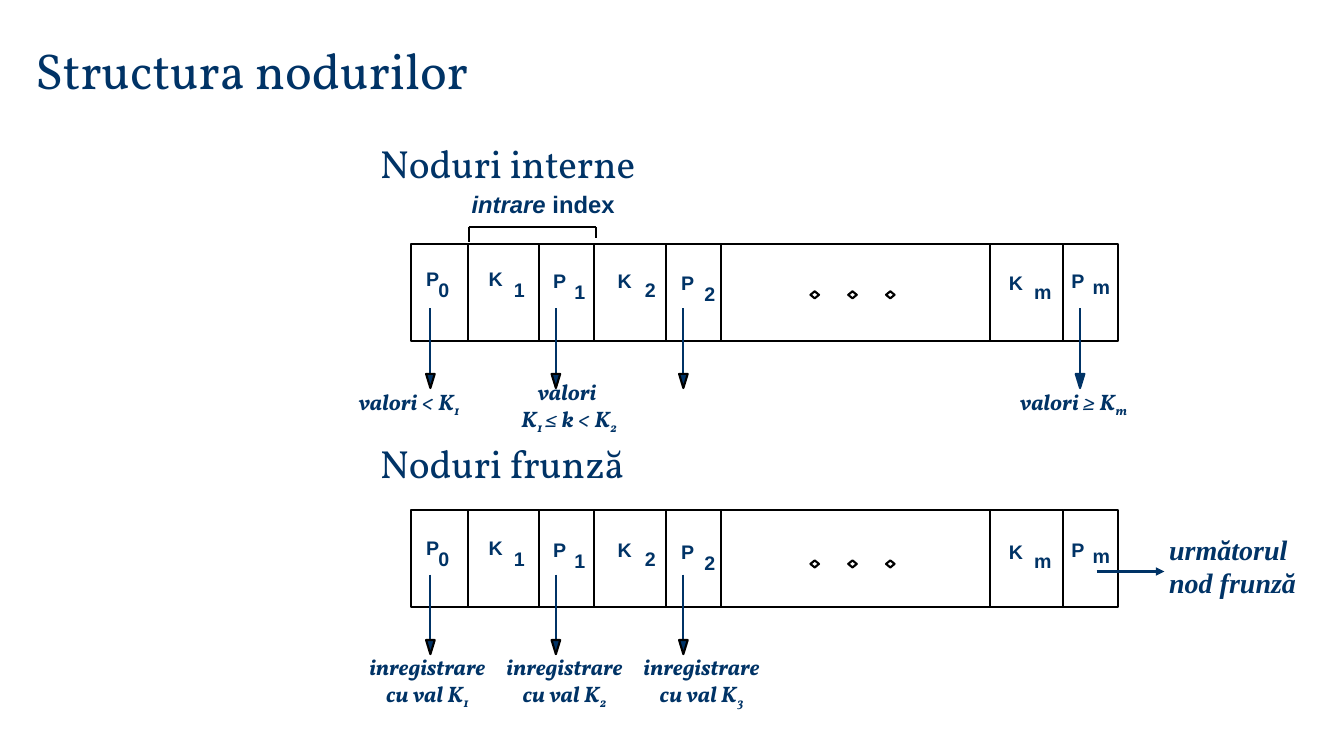
from pptx import Presentation
from pptx.dml.color import RGBColor
from pptx.enum.shapes import MSO_CONNECTOR, MSO_SHAPE
from pptx.enum.text import MSO_ANCHOR, MSO_AUTO_SIZE, PP_ALIGN
from pptx.oxml.ns import qn
from pptx.util import Inches, Pt
from lxml.etree import SubElement

# Lengths are columns and rows of a grid with ten cells to the inch.
COLS, ROWS = 133.33, 75
HUES = {"navy": "003366", "black": "000000", "white": "FFFFFF"}
SERIF, SANS, TIMES = "Vollkorn", "Arial", "Times New Roman"

EDGES = [(40.8, 110.9), (46.4, 53.5), (58.9, 66.1), (98.2, 105.5), (66.1, 71.5)]
TALL = 9.6
DOTS = [80.4 + 3.75 * i for i in range(3)]
STEMS = [42.7, 55.15, 67.8]
LAST = 107.15
WIDE = {"P": 3.4, "K": 3.5, "m": 3.8}
MARKS = [
    ("P", 41.3, 1.8), ("0", 42.5, 2.9), ("K", 47.5, 1.8), ("1", 50, 2.9),
    ("P", 53.9, 2), ("1", 56, 3.1), ("K", 60.3, 2), ("2", 63, 2.9),
    ("P", 66.6, 2.2), ("2", 68.9, 3.3), ("K", 99.1, 2.2), ("m", 101.6, 3.1),
    ("P", 105.3, 2), ("m", 107.4, 2.6),
]


def grid(*cells):
    """Turn grid cells into lengths."""
    return [Inches(cell / 10) for cell in cells]


def hue(name):
    """Look up a colour."""
    return RGBColor.from_string(HUES[name])


def trim(shape, line="black", fill=None):
    """Give a shape its outline and fill, and no shadow."""
    shape.shadow.inherit = False
    shape.line.color.rgb = hue(line)
    shape.line.width = Pt(1.5)
    if fill:
        shape.fill.solid()
        shape.fill.fore_color.rgb = hue(fill)
    else:
        shape.fill.background()


def form(slide, kind, box, fill=None):
    """Draw a preset shape."""
    trim(slide.shapes.add_shape(kind, *grid(*box)), fill=fill)


def rule(slide, start, end, tint="black", tip=False):
    """Draw a straight line, with an arrowhead if asked."""
    line = slide.shapes.add_connector(MSO_CONNECTOR.STRAIGHT, *grid(*start, *end))
    line.line.color.rgb = hue(tint)
    line.line.width = Pt(1.5)
    if tip:
        SubElement(line.line._get_or_add_ln(), qn("a:tailEnd"), type="triangle")
    SubElement(line._element.spPr, qn("a:effectLst"))


def arrow(slide, x, top, edge="black"):
    """Draw a pointer that leaves a node downwards."""
    end = top + 7.9
    rule(slide, (x, top), (x, end), "navy")
    pen = slide.shapes.build_freeform(*grid(x + 0.43, end - 1.4), scale=1.0)
    pen.add_line_segments([grid(x, end), grid(x - 0.43, end - 1.4)], close=True)
    trim(pen.convert_to_shape(), edge, "navy")


def note(slide, box, parts, size, font=SERIF, bold=True, slant=True,
         wrap=False, mid=False):
    """Write a text; parts that begin with _ are set as subscripts."""
    frame = slide.shapes.add_textbox(*grid(*box)).text_frame
    frame.word_wrap = wrap
    frame.auto_size = MSO_AUTO_SIZE.SHAPE_TO_FIT_TEXT
    para = frame.paragraphs[0]
    para.text = parts[0]
    for part in parts[1:]:
        run = para.add_run()
        run.text = part.lstrip("_")
        if part.startswith("_"):
            run._r.get_or_add_rPr().set("baseline", "-25000")
    if mid:
        para.alignment = PP_ALIGN.CENTER
    for run in para.runs:
        run.font.name, run.font.size = font, Pt(size)
        run.font.bold, run.font.italic = bold, slant
        run.font.color.rgb = hue("navy")
    return frame


def head(slide, box, text, size=28):
    """Write a heading."""
    frame = note(slide, box, [text], size, bold=False, slant=False, wrap=True)
    frame.auto_size = MSO_AUTO_SIZE.NONE
    return frame


def node(slide, top, drop, stems):
    """Draw a node with its cells, dots, pointers and marks."""
    for left, right in EDGES:
        form(slide, MSO_SHAPE.RECTANGLE, (left, top, right - left, TALL), "white")
    for x in DOTS:
        form(slide, MSO_SHAPE.DIAMOND, (x, top + drop + 4.7, 0.85, 0.7))
    for x in stems:
        arrow(slide, x, top + 6.4, "navy" if x == LAST else "black")
    for text, x, y in MARKS:
        box = (x, top + drop + y, WIDE.get(text, 3.1), 3.4)
        note(slide, box, [text], 14, SANS, slant=False)


def main():
    """Build the slide."""
    deck = Presentation()
    deck.slide_width, deck.slide_height = grid(COLS, ROWS)
    slide = deck.slides.add_slide(deck.slide_layouts[6])

    title = head(slide, (2.5, 3.3, 104.8, 7.1), "Structura nodurilor", 36)
    title.vertical_anchor = MSO_ANCHOR.BOTTOM

    node(slide, 24.2, 0, STEMS + [LAST])
    fork = [(46.5, 24), (46.5, 22.5), (59.1, 22.5), (59.1, 23.6)]
    for start, end in zip(fork, fork[1:]):
        rule(slide, start, end)
    label = note(slide, (45.8, 18.3, 16.4, 3.9), ["intrare ", "index"], 17, SANS)
    label.paragraphs[0].runs[1].font.italic = False
    head(slide, (36.7, 13.3, 89.4, 9.4), "Noduri interne")
    note(slide, (34.6, 38, 13, 3.7), ["valori < K", "_1"], 16)
    note(slide, (49.6, 37, 13.3, 6.4),
         ["valori\v K", "_1 ", "≤ k < K", "_2"], 16, wrap=True, mid=True)
    note(slide, (100.2, 38, 13.4, 3.7), ["valori ≥ K", "_m"], 16)

    head(slide, (36.7, 43.1, 89.4, 9.4), "Noduri frunză")
    node(slide, 50.6, 0.3, STEMS)
    for i in range(3):
        note(slide, (34.9 + 13.6 * i, 64.3, 15, 6.4),
             ["inregistrare cu val K", f"_{i + 1}"], 16, wrap=True, mid=True)
    rule(slide, (108.8, 56.7), (115.5, 56.7), "navy", tip=True)
    note(slide, (115, 52.3, 14.7, 7.7), ["următorul\vnod frunză"], 20, TIMES)

    deck.save("out.pptx")


main()
